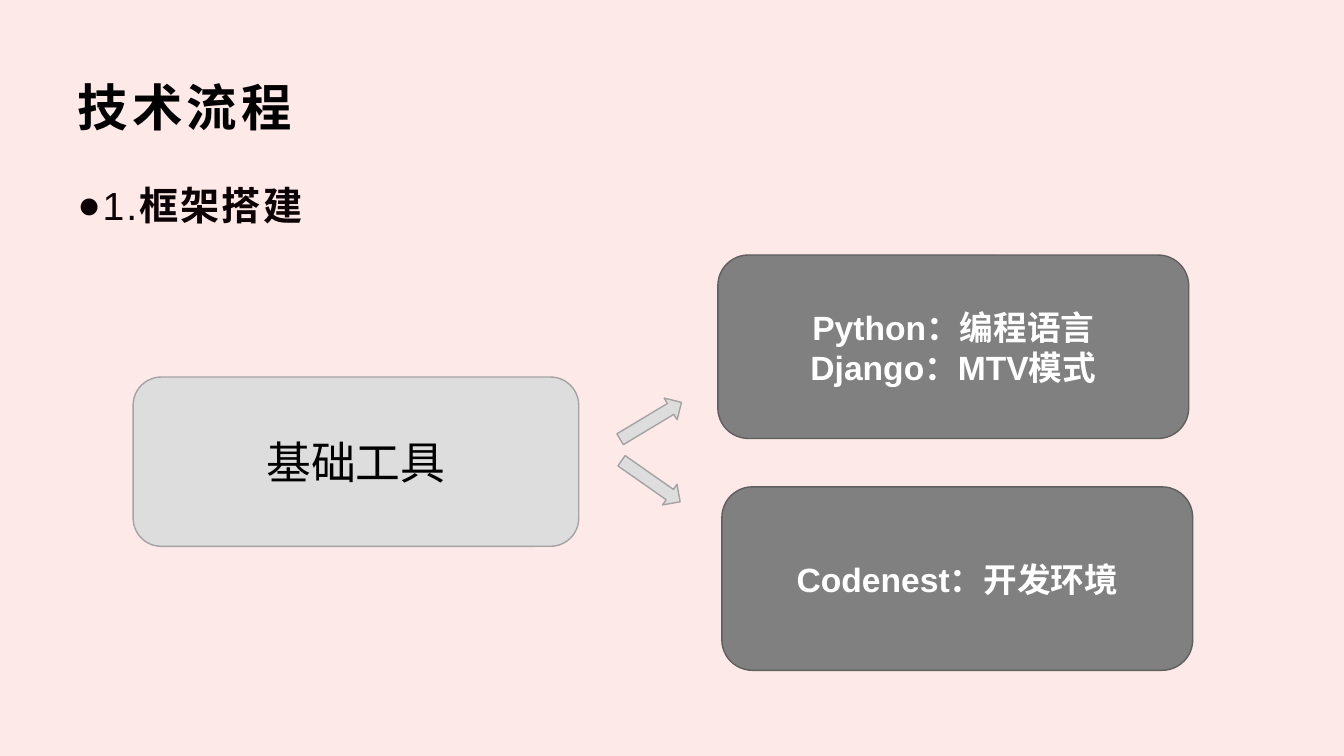
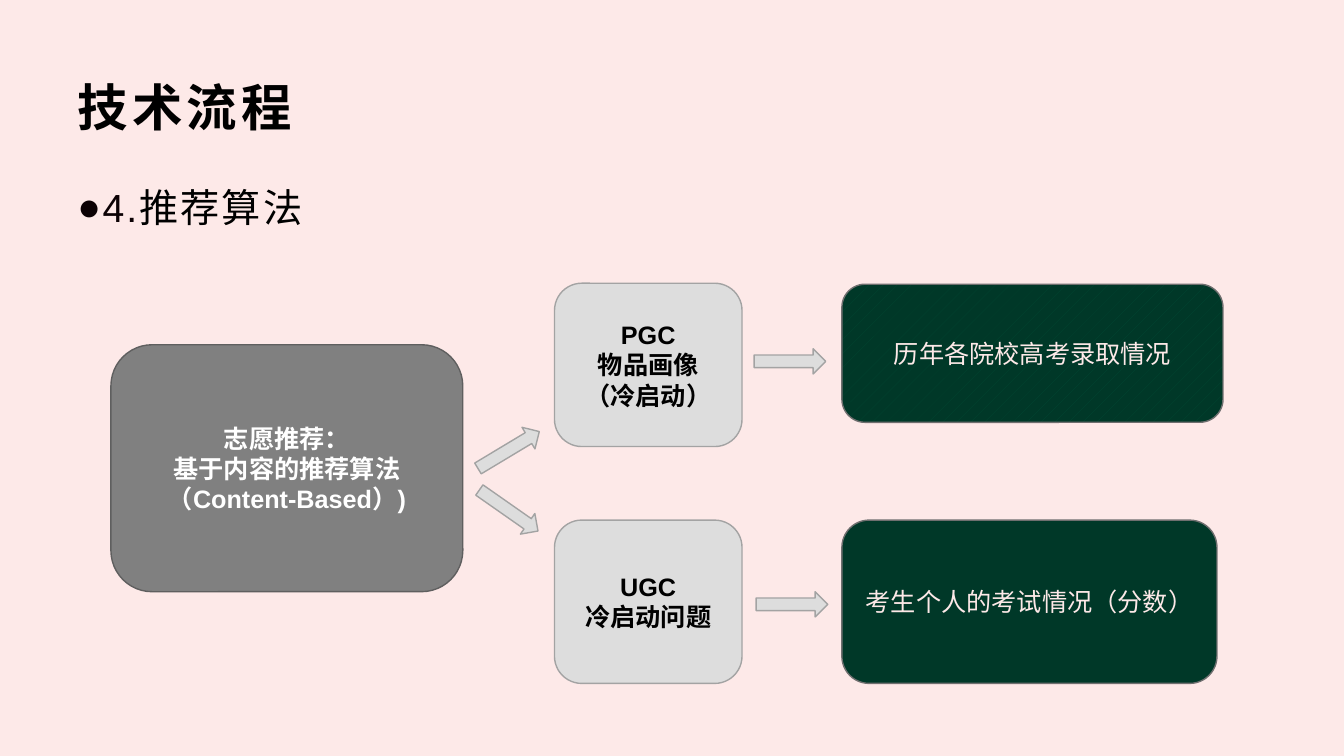
"""Build two slides on the technical workflow."""
from lxml.etree import SubElement
from pptx import Presentation
from pptx.dml.color import RGBColor
from pptx.enum.dml import MSO_PATTERN
from pptx.enum.lang import MSO_LANGUAGE_ID
from pptx.enum.shapes import MSO_SHAPE
from pptx.enum.text import MSO_ANCHOR, MSO_AUTO_SIZE, PP_ALIGN
from pptx.oxml.ns import qn
from pptx.util import Inches, Pt

PINK, LIGHT, GREY, GREEN, DOTS = "FDE9E8", "DDDDDD", "808080", "003828", "004833"
BLACK, DARK, WHITE = "000000", "0C0104", "FFFFFF"
LOOKS = {
    "light": (LIGHT, "A3A3A3", BLACK, True),
    "plain": (LIGHT, "A3A3A3", BLACK, False),
    "grey": (GREY, "5F5F5F", WHITE, True),
    "green": (GREEN, "6F6F6F", PINK, False),
}


def style(run, size, color, bold=False, space=0):
    font = run.font
    font.name, font.size, font.bold = "Arial", Pt(size), bold
    font.color.rgb = RGBColor.from_string(color)
    font.language_id = MSO_LANGUAGE_ID.SIMPLIFIED_CHINESE
    if space:
        run._r.get_or_add_rPr().set("spc", str(int(space * 100)))


def draw(slide, kind, place, look, text="", size=18, turn=0):
    fill, edge, ink, bold = LOOKS[look]
    shape = slide.shapes.add_shape(kind, *map(Inches, place))
    shape.shadow.inherit = False
    shape.rotation = turn
    shape.fill.solid()
    shape.fill.fore_color.rgb = RGBColor.from_string(fill)
    shape.line.color.rgb = RGBColor.from_string(edge)
    shape.line.width = Pt(1)
    frame = shape.text_frame
    frame.text, frame.word_wrap = text, True
    frame.vertical_anchor = MSO_ANCHOR.MIDDLE
    for para in frame.paragraphs:
        para.alignment = PP_ALIGN.CENTER
        for run in para.runs:
            style(run, size, ink, bold)
    return shape


PAGES = [
    {
        "head": ("1.", "框架搭建", DARK, True, 1.61),
        "boxes": [
            ((1.32, 3.74, 4.42, 1.68), "plain", "基础工具", 32),
            ((7.12, 2.53, 4.67, 1.82), "grey", "Python：编程语言\nDjango：MTV模式", 24),
            ((7.16, 4.83, 4.67, 1.82), "grey", "Codenest：开发环境", 24),
        ],
        "arrows": [(6.1, 4.05, 329), (6.1, 4.65, 35)],
    },
    {
        "head": ("4.", "推荐算法", BLACK, False, 1.63),
        "boxes": [
            ((1.1, 3.42, 3.49, 2.45), "grey",
             "志愿推荐：\n基于内容的推荐算法（Content-Based）)", 18),
            ((5.5, 2.81, 1.86, 1.62), "light", "PGC\n物品画像\n（冷启动）", 18),
            ((5.5, 5.16, 1.86, 1.62), "light", "UGC\n冷启动问题", 18),
            ((8.35, 2.82, 3.78, 1.37), "green", "历年各院校高考录取情况", 18),
            ((8.35, 5.16, 3.72, 1.62), "green", "考生个人的考试情况（分数）", 18),
        ],
        "arrows": [(7.48, 3.46, 0), (7.5, 5.87, 0), (4.69, 4.34, 329), (4.69, 4.94, 35)],
    },
]

deck = Presentation()
deck.slide_width, deck.slide_height = Inches(13.33), Inches(7.5)
back = deck.slide_master.background.fill
back.solid()
back.fore_color.rgb = RGBColor.from_string(PINK)

for page in PAGES:
    slide = deck.slides.add_slide(deck.slide_layouts[5])
    title = slide.shapes.title
    title.left, title.top = Inches(0.67), Inches(0.67)
    title.width, title.height = Inches(12), Inches(0.77)
    frame = title.text_frame
    frame.text = "技术流程"
    frame.auto_size = MSO_AUTO_SIZE.NONE
    frame.vertical_anchor = MSO_ANCHOR.MIDDLE
    para = frame.paragraphs[0]
    para.alignment = PP_ALIGN.LEFT
    style(para.runs[0], 36, BLACK, True, 3)

    mark, name, color, bold, top = page["head"]
    label = slide.shapes.add_textbox(Inches(0.67), Inches(top), Inches(12), Inches(0.8))
    label.text_frame.word_wrap = True
    para = label.text_frame.paragraphs[0]
    para.line_spacing, para.space_after = 1.3, Pt(10)
    props = para._p.get_or_add_pPr()
    props.set("marL", str(Inches(0.25)))
    props.set("indent", str(-Inches(0.25)))
    SubElement(props, qn("a:buFont")).set("typeface", "Arial")
    SubElement(props, qn("a:buChar")).set("char", "●")
    for text, ink, heavy in [(mark, DARK, False), (name, color, bold)]:
        run = para.add_run()
        run.text = text
        style(run, 28, ink, heavy, 1.5)

    for place, look, text, size in page["boxes"]:
        box = draw(slide, MSO_SHAPE.ROUNDED_RECTANGLE, place, look, text, size)
        if text.startswith("历年"):
            box.fill.patterned()
            box.fill.pattern = MSO_PATTERN.PERCENT_5
            box.fill.fore_color.rgb = RGBColor.from_string(DOTS)
            box.fill.back_color.rgb = RGBColor.from_string(GREEN)
    for left, top, turn in page["arrows"]:
        draw(slide, MSO_SHAPE.RIGHT_ARROW, (left, top, 0.71, 0.25), "light", turn=turn)

deck.save("out.pptx")
